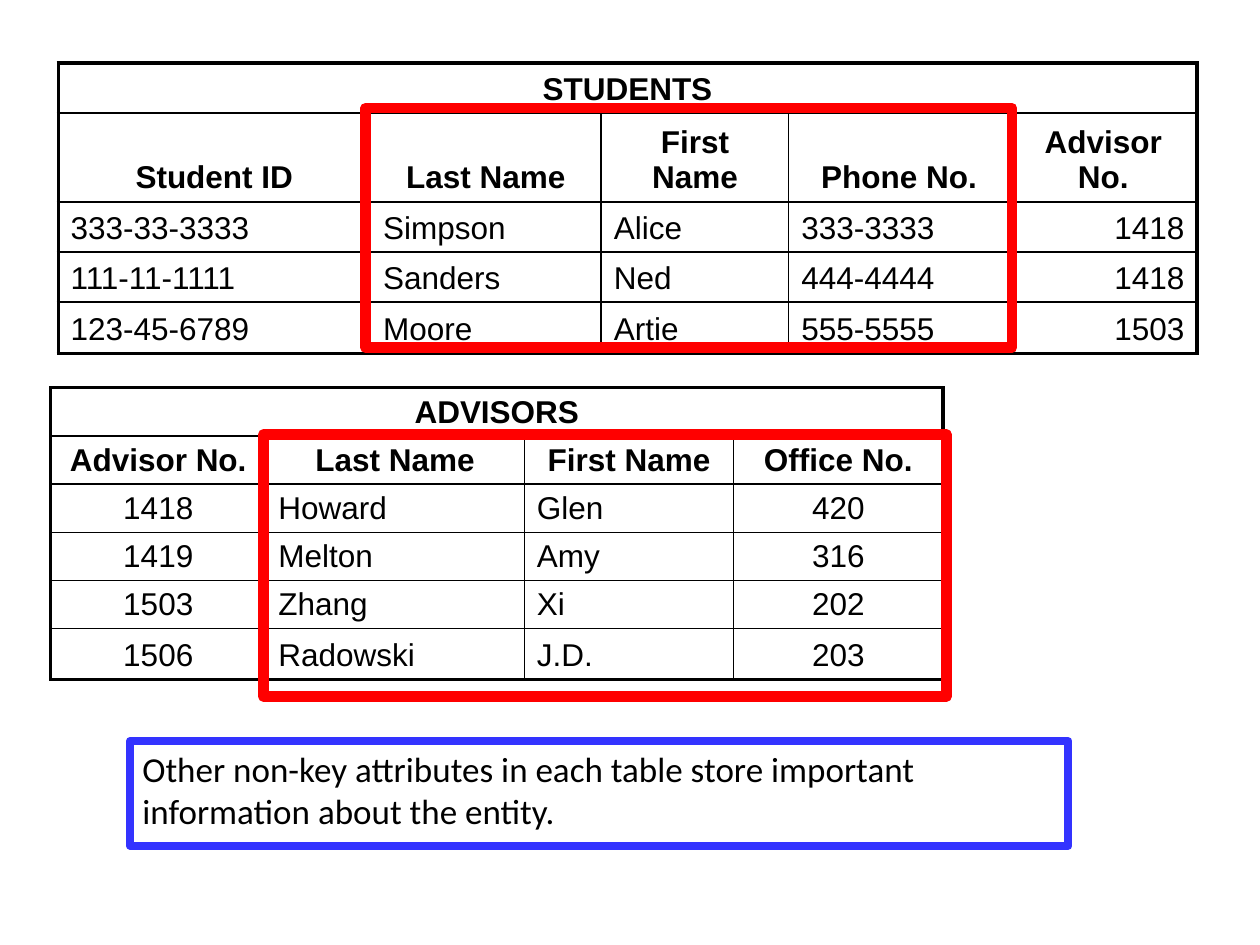
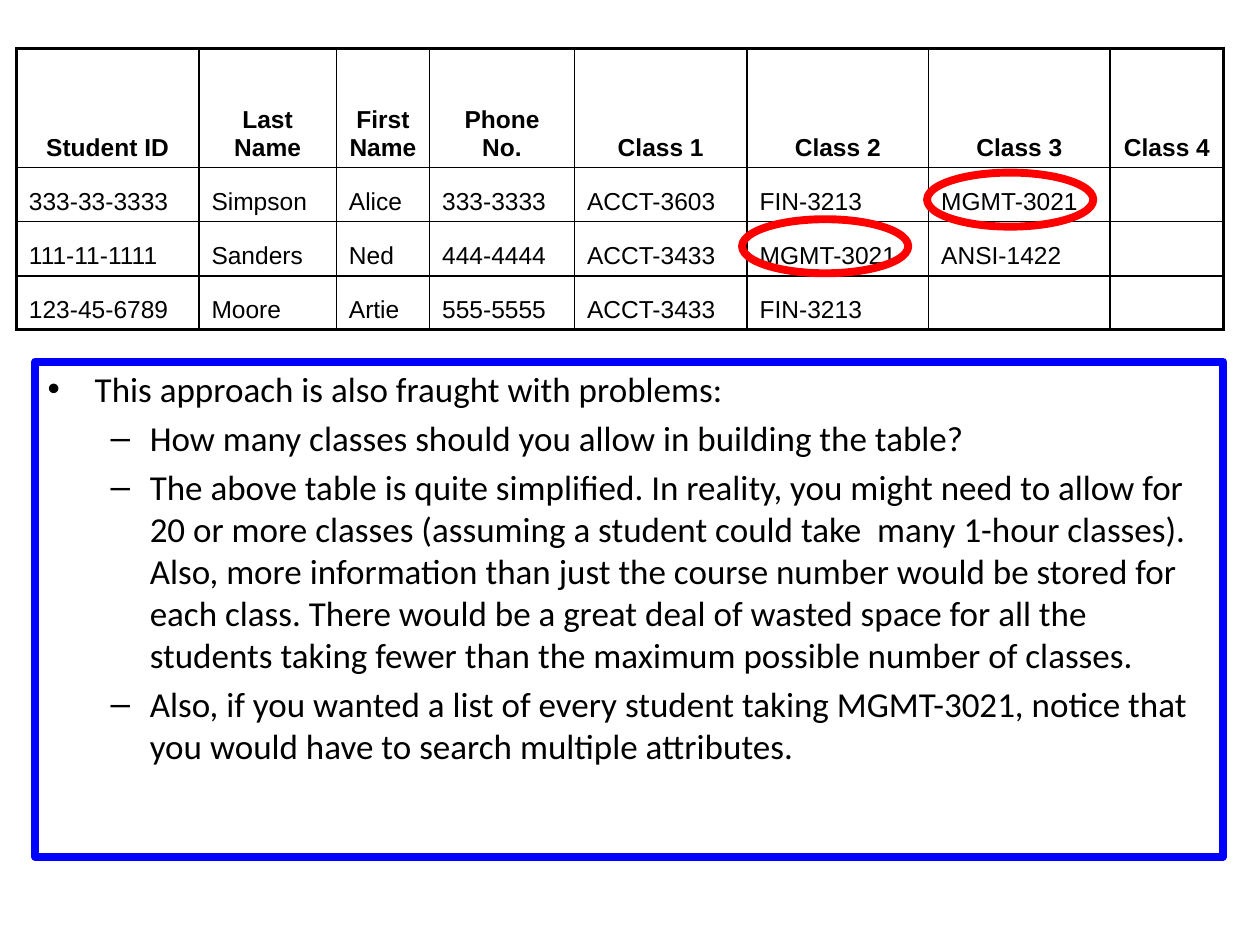
from lxml.etree import SubElement
from pptx import Presentation
from pptx.dml.color import RGBColor
from pptx.enum.shapes import MSO_SHAPE
from pptx.enum.text import MSO_ANCHOR, PP_ALIGN
from pptx.oxml.ns import qn
from pptx.util import Cm, Pt

COLORS = {
    "text": "000000",
    "grid": "000000",
    "paper": "FFFFFF",
    "highlight": "FF0000",
    "note": "3333FF",
    "problems": "0000FF",
}
ALIGNMENTS = {"l": PP_ALIGN.LEFT, "c": PP_ALIGN.CENTER, "r": PP_ALIGN.RIGHT}
TABLE_FONT, BODY_FONT = "Arial", "Calibri"
BODY_SIZE = 20
# Per level: bullet character, left margin and hanging indent in cm
BULLETS = [("•", 0.95, -0.95), ("–", 2.06, -0.79)]


def rgb(name):
    return RGBColor.from_string(COLORS[name])


def write(paragraph, text, font=BODY_FONT, size=BODY_SIZE, bold=False,
          align="l", level=None, before=0):
    """Fill a paragraph; a level gives it that level's bullet."""
    paragraph.alignment = ALIGNMENTS[align]
    if level is not None:
        paragraph.level = level
        mark, margin, indent = BULLETS[level]
        properties = paragraph._p.get_or_add_pPr()
        properties.set("marL", str(Cm(margin)))
        properties.set("indent", str(Cm(indent)))
        bullet_color = SubElement(properties, qn("a:buClr"))
        SubElement(bullet_color, qn("a:srgbClr"), val=COLORS["text"])
        SubElement(properties, qn("a:buFont"), typeface="Arial")
        SubElement(properties, qn("a:buChar"), char=mark)
    paragraph.space_before = Pt(before)
    run = paragraph.add_run()
    run.text = text
    run.font.name = font
    run.font.size = Pt(size)
    run.font.bold = bold
    run.font.color.rgb = rgb("text")


def draw_borders(cell, widths):
    """Widths in points run left, right, top, bottom."""
    properties = cell._tc.get_or_add_tcPr()
    for side, width in zip("LRTB", widths):
        border = SubElement(properties, qn(f"a:ln{side}"), w=str(Pt(width)))
        fill = SubElement(border, qn("a:solidFill"))
        SubElement(fill, qn("a:srgbClr"), val=COLORS["grid"])


class Deck:
    def __init__(self):
        self.presentation = Presentation()
        self.presentation.slide_width = Cm(25.4)
        self.presentation.slide_height = Cm(19.05)
        self.slide = None

    def new_slide(self):
        blank = self.presentation.slide_layouts[6]
        self.slide = self.presentation.slides.add_slide(blank)

    def table(self, left, top, columns, heights, records, aligns, size, title=None):
        """The first record is the header; a title spans a row above it."""
        rows = list(records)
        if title:
            rows.insert(0, [title] + [""] * (len(columns) - 1))
        header_count = 2 if title else 1
        table = self.slide.shapes.add_table(
            len(rows), len(columns), Cm(left), Cm(top),
            Cm(sum(columns)), Cm(sum(heights))).table
        table.first_row = table.horz_banding = False
        for column, width in zip(table.columns, columns):
            column.width = Cm(width)
        for row, height in zip(table.rows, heights):
            row.height = Cm(height)
        if title:
            table.cell(0, 0).merge(table.cell(0, len(columns) - 1))

        last_row, last_column = len(rows) - 1, len(columns) - 1
        for r, values in enumerate(rows):
            header = r < header_count
            for c, value in enumerate(values):
                cell = table.cell(r, c)
                spans = title and r == 0
                on_edge = (c == 0, c == last_column or spans, r == 0, r == last_row)
                draw_borders(cell, [2 if edge else 1 for edge in on_edge])
                cell.fill.background()
                cell.vertical_anchor = MSO_ANCHOR.BOTTOM
                if value:
                    write(cell.text_frame.paragraphs[0], value, font=TABLE_FONT,
                          size=size, bold=header,
                          align="c" if header else aligns[c])

    def outline(self, kind, left, top, width, height, color, weight):
        shape = self.slide.shapes.add_shape(
            kind, Cm(left), Cm(top), Cm(width), Cm(height))
        shape.shadow.inherit = False
        shape.fill.background()
        shape.line.color.rgb = rgb(color)
        shape.line.width = Pt(weight)
        return shape

    def highlight(self, left, top, width, height):
        self.outline(MSO_SHAPE.RECTANGLE, left, top, width, height, "highlight", 6)

    def circle(self, left, top):
        self.outline(MSO_SHAPE.OVAL, left, top, 3.35, 1.09, "highlight", 4.5)

    def text_panel(self, left, top, width, height, color, items):
        """Items are pairs of text and bullet level."""
        panel = self.outline(MSO_SHAPE.RECTANGLE, left, top, width, height, color, 4.5)
        panel.fill.solid()
        panel.fill.fore_color.rgb = rgb("paper")
        frame = panel.text_frame
        frame.word_wrap = True
        frame.vertical_anchor = MSO_ANCHOR.TOP
        for index, (text, level) in enumerate(items):
            paragraph = frame.add_paragraph() if index else frame.paragraphs[0]
            write(paragraph, text, level=level, before=4 if index else 0)


STUDENTS = [
    ("333-33-3333", "Simpson", "Alice", "333-3333"),
    ("111-11-1111", "Sanders", "Ned", "444-4444"),
    ("123-45-6789", "Moore", "Artie", "555-5555"),
]
STUDENT_FIELDS = ("Student ID", "Last Name", "First Name", "Phone No.")
STUDENT_ADVISORS = ["1418", "1418", "1503"]
ADVISORS = [
    ("Advisor No.", "Last Name", "First Name", "Office No."),
    ("1418", "Howard", "Glen", "420"),
    ("1419", "Melton", "Amy", "316"),
    ("1503", "Zhang", "Xi", "202"),
    ("1506", "Radowski", "J.D.", "203"),
]
CLASSES = [
    ("ACCT-3603", "FIN-3213", "MGMT-3021", ""),
    ("ACCT-3433", "MGMT-3021", "ANSI-1422", ""),
    ("ACCT-3433", "FIN-3213", "", ""),
]
PROBLEMS = [
    ("This approach is also fraught with problems:", 0),
    ("How many classes should you allow in building the table?", 1),
    ("The above table is quite simplified. In reality, you might need to allow "
     "for 20 or more classes (assuming a student could take  many 1-hour "
     "classes). Also, more information than just the course number would be "
     "stored for each class. There would be a great deal of wasted space for "
     "all the students taking fewer than the maximum possible number of "
     "classes.", 1),
    ("Also, if you wanted a list of every student taking MGMT-3021, notice that "
     "you would have to search multiple attributes.", 1),
]


def add_attributes_slide(deck):
    deck.new_slide()
    deck.table(1.02, 7.82, [4.34, 5.21, 4.22, 4.22], [0.97] * 5 + [1.03],
               ADVISORS, "cllc", 18, title="ADVISORS")
    deck.text_panel(2.62, 14.94, 18.92, 2.11, "note", [
        ("Other non-key attributes in each table store important information "
         "about the entity.", None)])
    students = [STUDENT_FIELDS + ("Advisor No.",)]
    students += [student + (advisor,)
                 for student, advisor in zip(STUDENTS, STUDENT_ADVISORS)]
    deck.table(1.17, 1.27, [6.3, 4.65, 3.78, 4.45, 3.78],
               [1.01, 1.79, 1.01, 1.01, 1.03],
               students, "llllr", 18, title="STUDENTS")
    deck.highlight(7.37, 2.18, 13.03, 4.83)
    deck.highlight(5.31, 8.76, 13.77, 5.28)


def add_classes_slide(deck):
    deck.new_slide()
    deck.text_panel(0.71, 7.29, 23.95, 9.98, "problems", PROBLEMS)
    enrolments = [STUDENT_FIELDS + tuple(f"Class {n}" for n in range(1, 5))]
    enrolments += [student + classes for student, classes in zip(STUDENTS, CLASSES)]
    deck.table(0.33, 0.97, [3.68, 2.77, 1.88, 2.92, 3.48, 3.66, 3.66, 2.29],
               [2.41] + [1.09] * 3, enrolments, "l" * 8, 14)
    deck.circle(14.96, 4.42)
    deck.circle(18.69, 3.48)


def main():
    deck = Deck()
    add_attributes_slide(deck)
    add_classes_slide(deck)
    deck.presentation.save("out.pptx")


if __name__ == "__main__":
    main()
